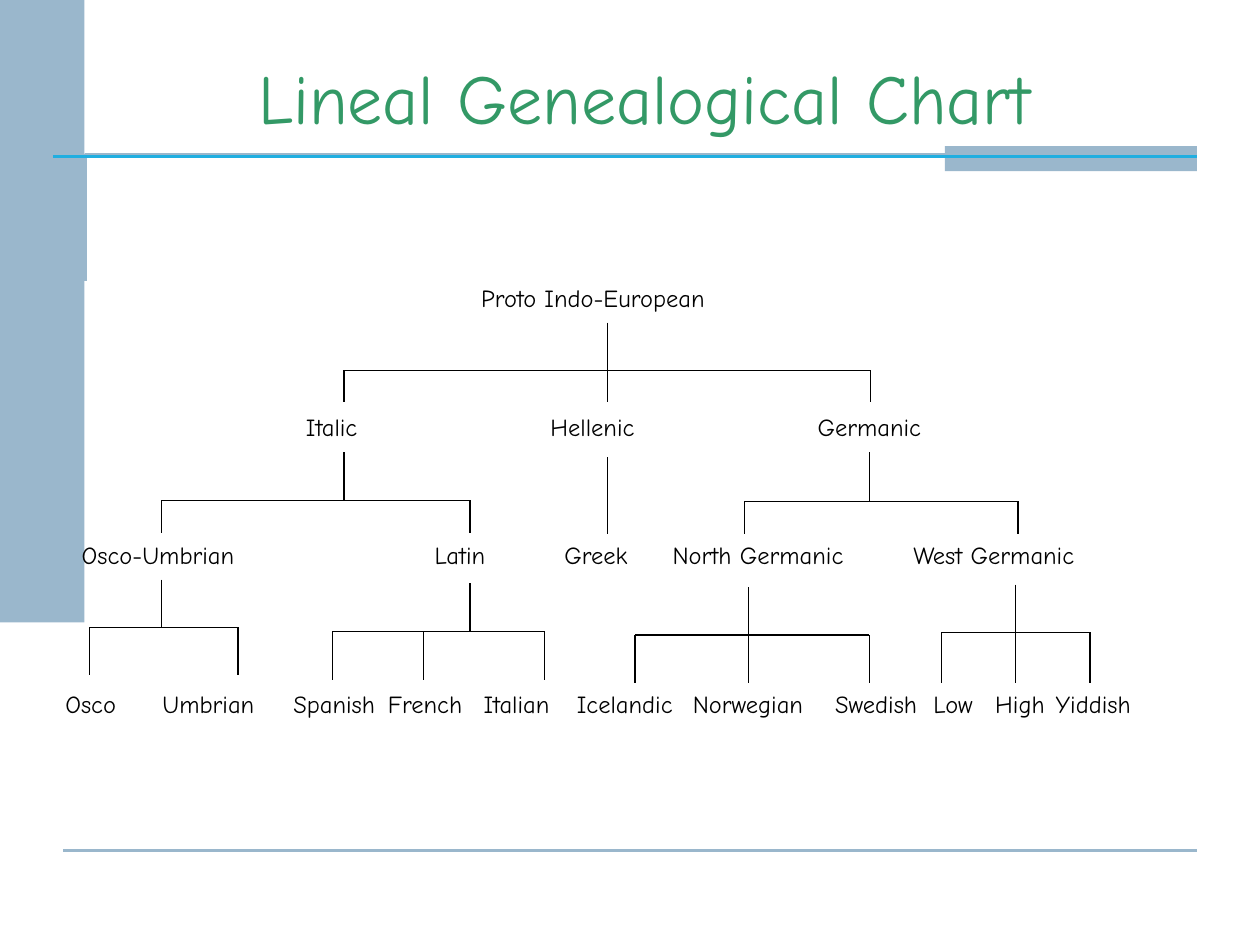
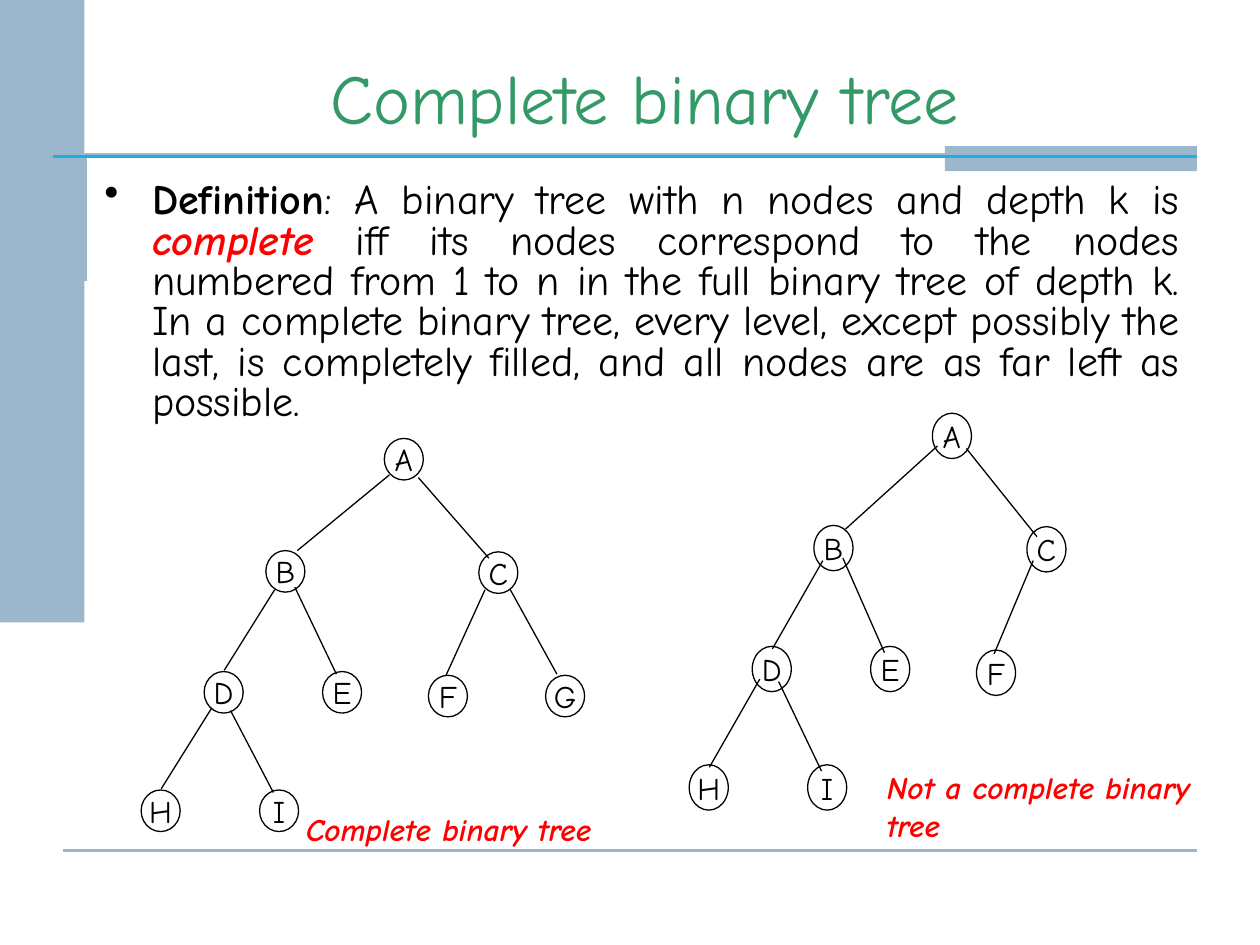
from lxml import etree
from pptx import Presentation
from pptx.dml.color import RGBColor
from pptx.enum import shapes, text
from pptx.oxml.ns import qn
from pptx.util import Inches, Pt

FONT = "Comic Neue"
COLORS = {"band": "9AB7CC", "rule": "20AEE0", "title": "339966", "ink": "000000", "accent": "FF0000"}
WIDTH, HEIGHT = 10, 7.5

GENEALOGY_TITLE = "Lineal Genealogical Chart"
LABEL_HEIGHT = 0.33
LABEL_ROWS = [
    (2.2, [("Proto Indo-European", 3.72, 2.41)]),
    (3.22, [("Italic", 2.33, 0.89), ("Hellenic", 4.27, 1.03), ("Germanic", 6.39, 1.12)]),
    (4.24, [("Osco-Umbrian", 0.55, 1.78), ("Latin", 3.35, 0.92), ("Greek", 4.38, 0.92),
            ("North Germanic", 5.24, 1.84), ("West Germanic", 7.15, 1.82)]),
    (5.42, [("Osco", 0.42, 0.77), ("Umbrian", 1.19, 1.05), ("Spanish", 2.23, 0.94),
            ("French", 2.98, 1.18), ("Italian", 3.74, 0.9), ("Icelandic", 4.48, 1.19),
            ("Norwegian", 5.4, 1.19), ("Swedish", 6.53, 1.04), ("Low", 7.31, 0.63),
            ("High", 7.8, 0.65), ("Yiddish", 8.28, 0.95)]),
]
BRANCHES = [
    {"stem": 4.82, "top": 2.56, "bar": 2.94, "bottom": 3.19, "children": [2.73, 4.82, 6.91]},
    {"stem": 2.73, "top": 3.59, "bar": 3.97, "bottom": 4.23, "children": [1.28, 3.73]},
    {"stem": 4.82, "top": 3.63, "bar": 3.98, "bottom": 4.24, "children": [4.82]},
    {"stem": 6.9, "top": 3.59, "bar": 3.98, "bottom": 4.24, "children": [5.91, 8.08]},
    {"stem": 1.28, "top": 4.6, "bar": 4.98, "bottom": 5.36, "children": [0.71, 1.89]},
    {"stem": 3.73, "top": 4.63, "bar": 5.01, "bottom": 5.4, "children": [2.64, 3.36, 4.32]},
    {"stem": 5.94, "top": 4.66, "bar": 5.04, "bottom": 5.42, "children": [5.04, 5.94, 6.9]},
    {"stem": 8.06, "top": 4.64, "bar": 5.02, "bottom": 5.42, "children": [7.47, 8.06, 8.65]},
]

BINARY_TITLE = "Complete binary tree"
DEFINITION = [
    ("Definition", "ink", True, False),
    (": A binary tree with n nodes and depth k is ", "ink", False, False),
    ("complete", "accent", True, True),
    (" iff its nodes correspond to the nodes numbered from 1 to n in the full binary tree of "
     "depth k. In a complete binary tree, every level, except possibly the last, is completely "
     "filled, and all nodes are as far left as possible.", "ink", False, False),
]
NODE_OFFSETS = {
    "A": (0, 0), "B": (-0.94, 0.89), "C": (0.75, 0.9), "D": (-1.43, 1.85), "E": (-0.49, 1.85),
    "F": (0.35, 1.88), "G": (1.28, 1.88), "H": (-1.93, 2.79), "I": (-0.99, 2.79),
}
EDGES_TO = {
    "B": ((0.04, 0.29), (-0.69, 0.89)), "C": ((0.27, 0.31), (0.83, 0.95)),
    "D": ((-0.87, 1.2), (-1.27, 1.84)), "E": ((-0.71, 1.18), (-0.38, 1.87)),
    "F": ((0.8, 1.2), (0.49, 1.88)), "G": ((1, 1.2), (1.37, 1.87)),
    "H": ((-1.37, 2.14), (-1.77, 2.78)), "I": ((-1.22, 2.16), (-0.88, 2.81)),
}
NODE_WIDTH = 0.31
TREES = [
    {"root": (3.05, 3.48), "nodes": "ABCDEFGHI", "node_height": 0.33, "stretch": 0,
     "caption": "Complete binary tree", "caption_at": (2.33, 6.38, 3.19, 0.4)},
    {"root": (7.4, 3.28), "nodes": "ABCDEFHI", "node_height": 0.36, "stretch": 0.03,
     "caption": "Not a complete binary tree", "caption_at": (6.94, 6.05, 3.06, 0.4)},
]


def color(name):
    return RGBColor.from_string(COLORS[name])


def inches(*lengths):
    return [Inches(length) for length in lengths]


def style_font(font, size, name="ink", bold=False, italic=False):
    font.name, font.size = FONT, Pt(size)
    font.bold, font.italic = bold, italic
    font.color.rgb = color(name)


def add_line(slide, start, end, name="ink", width=0.75):
    line = slide.shapes.add_connector(shapes.MSO_CONNECTOR.STRAIGHT, *inches(*start, *end))
    line.line.color.rgb = color(name)
    line.line.width = Pt(width)
    etree.SubElement(line._element.spPr, qn("a:effectLst"))


def add_band(slide, *box):
    band = slide.shapes.add_shape(shapes.MSO_SHAPE.RECTANGLE, *inches(*box))
    band.shadow.inherit = False
    band.fill.solid()
    band.fill.fore_color.rgb = color("band")
    band.line.fill.background()


def add_text(slide, words, box, size, name="ink", bold=False, italic=False, wrap=True):
    shape = slide.shapes.add_textbox(*inches(*box))
    frame = shape.text_frame
    frame.word_wrap = wrap
    frame.text = words
    style_font(frame.paragraphs[0].runs[0].font, size, name, bold, italic)
    return frame


def add_framed_slide(presentation, title):
    slide = presentation.slides.add_slide(presentation.slide_layouts[6])
    builder = slide.shapes.build_freeform(*inches(0.68, 2.23), scale=1.0)
    builder.add_line_segments([inches(0.68, 1.23), inches(9.35, 1.23)], close=False)
    corner = builder.convert_to_shape()
    corner.shadow.inherit = False
    corner.fill.background()
    corner.line.color.rgb = color("band")
    corner.line.width = Pt(2)
    add_line(slide, (0.5, 6.75), (9.5, 6.75), "band", 1.5)
    add_band(slide, 0, 0, 0.67, 4.94)
    add_band(slide, 7.5, 1.16, 2, 0.2)
    add_line(slide, (0.42, 1.24), (9.5, 1.24), "rule", 1.5)
    frame = add_text(slide, title, (0.75, 0.38, 8.73, 0.77), 40, "title")
    frame.vertical_anchor = text.MSO_ANCHOR.BOTTOM
    frame.paragraphs[0].alignment = text.PP_ALIGN.CENTER
    return slide


def add_branch(slide, stem, top, bar, bottom, children):
    add_line(slide, (stem, top), (stem, bar))
    if len(children) > 1:
        add_line(slide, (children[0], bar), (children[-1], bar))
    for child in children:
        add_line(slide, (child, bar), (child, bottom))


def add_definition(slide):
    frame = slide.shapes.add_textbox(*inches(0.73, 1.4, 8.73, 2.1)).text_frame
    frame.word_wrap = True
    paragraph = frame.paragraphs[0]
    paragraph.alignment = text.PP_ALIGN.JUSTIFY
    paragraph.line_spacing = 0.8
    properties = paragraph._p.get_or_add_pPr()
    properties.set("marL", str(Inches(0.38)))
    properties.set("indent", str(Inches(-0.38)))
    etree.SubElement(properties, qn("a:buChar")).set("char", "•")
    for words, name, bold, italic in DEFINITION:
        run = paragraph.add_run()
        run.text = words
        style_font(run.font, 24, name, bold, italic)


def add_node(slide, letter, *box):
    node = slide.shapes.add_shape(shapes.MSO_SHAPE.OVAL, *inches(*box))
    node.shadow.inherit = False
    node.fill.background()
    node.line.color.rgb = color("ink")
    node.line.width = Pt(0.75)
    frame = node.text_frame
    frame.word_wrap = False
    frame.vertical_anchor = text.MSO_ANCHOR.MIDDLE
    frame.text = letter
    frame.paragraphs[0].alignment = text.PP_ALIGN.CENTER
    style_font(frame.paragraphs[0].runs[0].font, 18)


def add_tree(slide, root, nodes, node_height, stretch, caption, caption_at):
    left, top = root
    for letter in nodes:
        across, down = NODE_OFFSETS[letter]
        add_node(slide, letter, left + across, top + down, NODE_WIDTH, node_height)
        if letter in EDGES_TO:
            (x1, y1), (x2, y2) = EDGES_TO[letter]
            add_line(slide, (left + x1, top + y1 - stretch), (left + x2, top + y2 + stretch))
    add_text(slide, caption, caption_at, 18, "accent", bold=True, italic=True, wrap=False)


def main():
    presentation = Presentation()
    presentation.slide_width, presentation.slide_height = inches(WIDTH, HEIGHT)

    genealogy = add_framed_slide(presentation, GENEALOGY_TITLE)
    for branch in BRANCHES:
        add_branch(genealogy, **branch)
    for top, labels in LABEL_ROWS:
        for label, left, width in labels:
            add_text(genealogy, label, (left, top, width, LABEL_HEIGHT), 14)

    binary = add_framed_slide(presentation, BINARY_TITLE)
    add_definition(binary)
    for tree in TREES:
        add_tree(binary, **tree)

    presentation.save("out.pptx")


if __name__ == "__main__":
    main()
